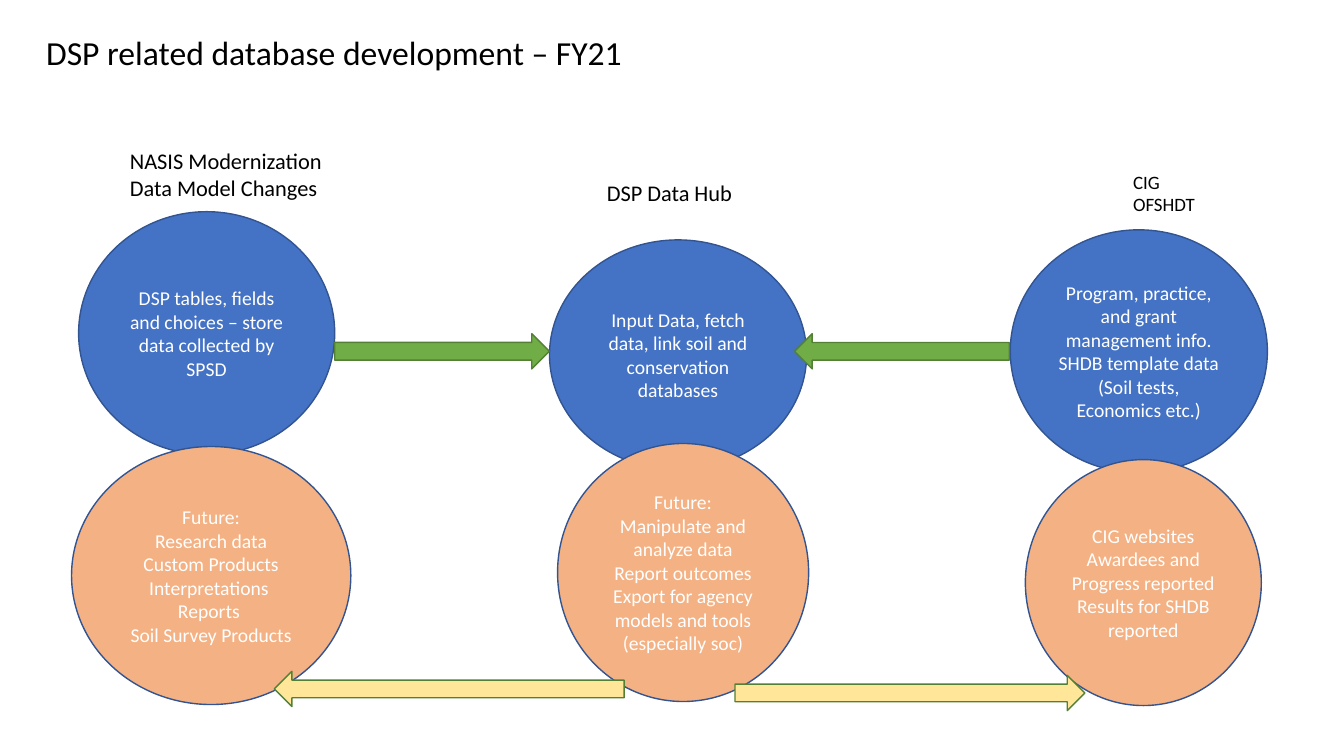
"""Build the slide on DSP related database development for FY21."""
from pptx import Presentation
from pptx.dml.color import RGBColor
from pptx.enum.shapes import MSO_SHAPE as SHAPE
from pptx.enum.text import MSO_ANCHOR as ANCHOR, MSO_AUTO_SIZE as AUTO, PP_ALIGN as ALIGN
from pptx.util import Inches, Pt

COLORS = {
    "now": "4472C4", "future": "F4B183", "circle_line": "325491",
    "input": "70AD47", "output": "FFE699", "arrow_line": "538035",
    "dark": "000000", "light": "FFFFFF",
}
FONT = "Calibri"
ARROW_HEIGHT = 0.35

LABELS = [
    ((0.36, 0.27, 5.97, 0.5), 24, ["DSP related database development – FY21"]),
    ((1.19, 1.41, 2.13, 0.64), 16, ["NASIS Modernization", "Data Model Changes"]),
    ((5.92, 1.73, 1.46, 0.37), 16, ["DSP Data Hub"]),
    ((11.14, 1.64, 0.82, 0.56), 13.5, ["CIG", "OFSHDT"]),
]
CIRCLES = [
    ("now", (0.78, 2.1, 2.54, 2.41),
     ["DSP tables, fields and choices – store data collected by SPSD"]),
    ("now", (5.45, 2.38, 2.55, 2.28),
     ["Input Data, fetch data, link soil and conservation databases"]),
    ("now", (10.02, 2.28, 2.55, 2.41),
     ["Program, practice, and grant management info. "
      "SHDB template data (Soil tests, Economics etc.)"]),
    ("future", (0.71, 4.43, 2.77, 2.56),
     ["Future:", "Research data", "Custom Products", "Interpretations ",
      "Reports ", "Soil Survey Products"]),
    ("future", (5.53, 4.4, 2.49, 2.56),
     ["Future:", "Manipulate and analyze data", "Report outcomes",
      "Export for agency models and tools (especially soc)"]),
    ("future", (10.17, 4.56, 2.34, 2.44),
     ["CIG websites", "Awardees and Progress reported",
      "Results for SHDB reported"]),
]
ARROWS = [
    ("input", (3.32, 3.31), 2.13, 0),
    ("input", (7.88, 3.31), 2.13, 180),
    ("output", (7.29, 6.7), 3.47, 0),
    ("output", (2.72, 6.66), 3.47, 180),
]


def rgb(name):
    return RGBColor.from_string(COLORS[name])


def write(sp, lines, size, color, align, frame):
    tf = sp.text_frame
    for name, value in frame.items():
        setattr(tf, name, value)
    for i, line in enumerate(lines):
        p = tf.paragraphs[0] if i == 0 else tf.add_paragraph()
        p.alignment = align
        r = p.add_run()
        r.text = line
        for name, value in {"name": FONT, "size": Pt(size)}.items():
            setattr(r.font, name, value)
        r.font.color.rgb = rgb(color)


def add_shape(kind, box, fill, line):
    sp = slide.shapes.add_shape(kind, *map(Inches, box))
    sp.shadow.inherit = False
    sp.fill.solid()
    sp.fill.fore_color.rgb = rgb(fill)
    sp.line.color.rgb = rgb(line)
    sp.line.width = Pt(1)
    return sp


CIRCLE_FRAME = {
    "word_wrap": True, "vertical_anchor": ANCHOR.MIDDLE,
    "margin_left": Inches(0.07), "margin_right": Inches(0.07),
    "margin_top": Inches(0.04), "margin_bottom": Inches(0.04),
}
LABEL_FRAME = {"word_wrap": False, "auto_size": AUTO.SHAPE_TO_FIT_TEXT}

prs = Presentation()
prs.slide_width, prs.slide_height = Inches(13.33), Inches(7.5)
slide = prs.slides.add_slide(prs.slide_layouts[6])

for box, size, lines in LABELS:
    sp = slide.shapes.add_textbox(*map(Inches, box))
    write(sp, lines, size, "dark", ALIGN.LEFT, LABEL_FRAME)

for stage, box, lines in CIRCLES:
    sp = add_shape(SHAPE.OVAL, box, stage, "circle_line")
    write(sp, lines, 14, "light", ALIGN.CENTER, CIRCLE_FRAME)

for flow, corner, length, turn in ARROWS:
    sp = add_shape(SHAPE.RIGHT_ARROW, (*corner, length, ARROW_HEIGHT), flow, "arrow_line")
    sp.rotation = turn

prs.save("out.pptx")
